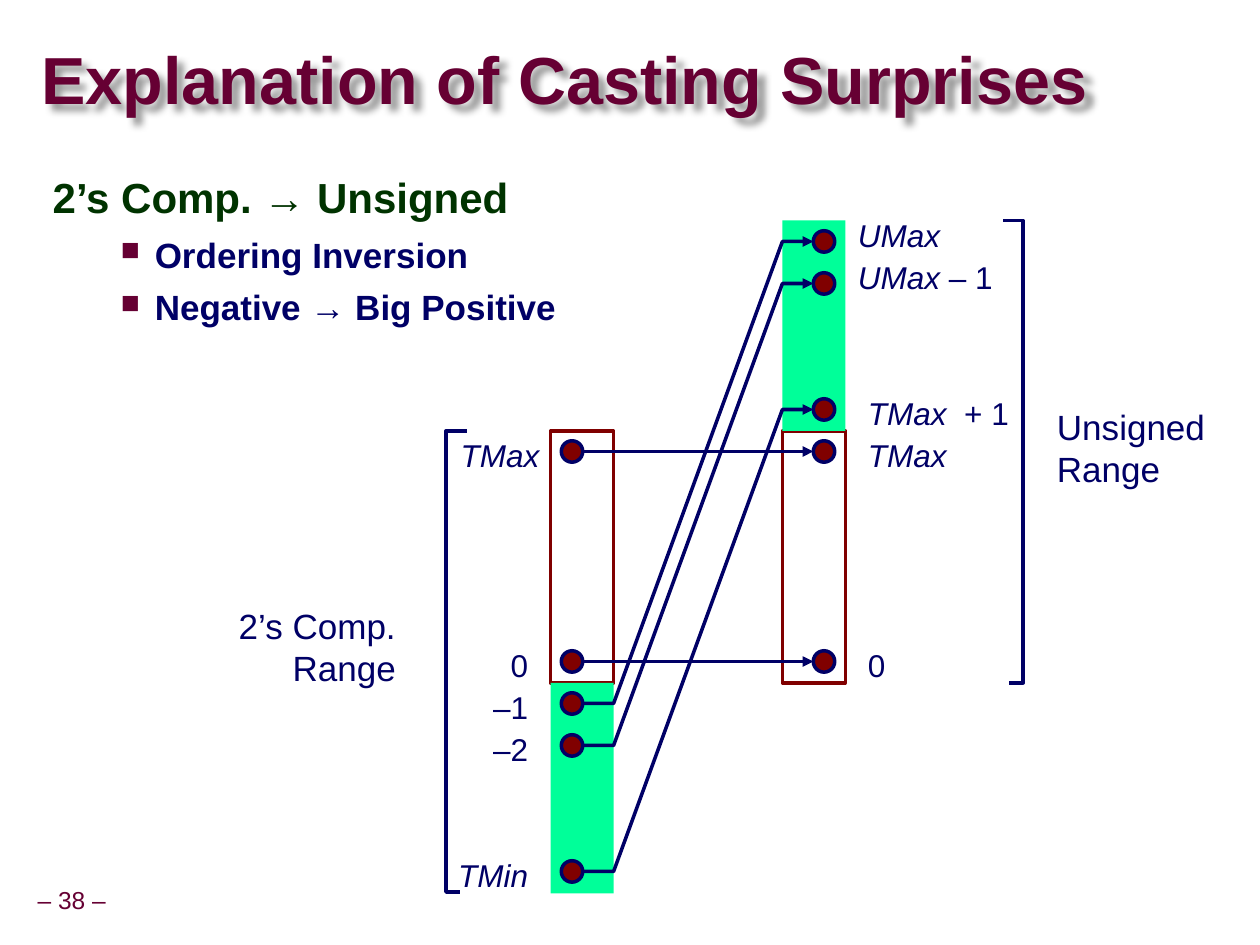
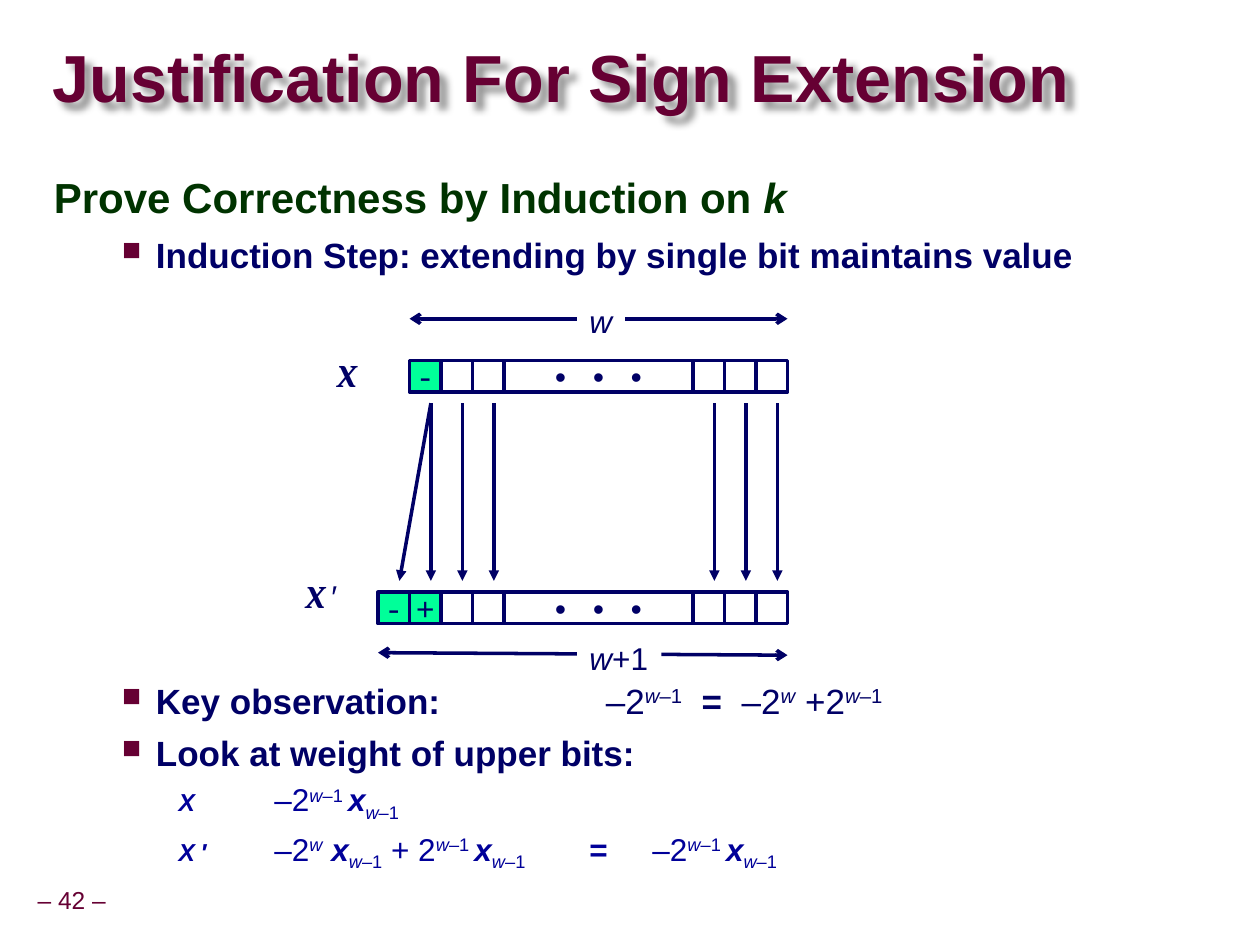
from lxml import etree
from pptx import Presentation
from pptx.dml.color import RGBColor
from pptx.enum.shapes import MSO_CONNECTOR, MSO_SHAPE
from pptx.enum.text import MSO_ANCHOR, PP_ALIGN
from pptx.oxml.ns import qn
from pptx.util import Inches, Pt

LEFT, CENTER, RIGHT = PP_ALIGN.LEFT, PP_ALIGN.CENTER, PP_ALIGN.RIGHT
TOP, MIDDLE = MSO_ANCHOR.TOP, MSO_ANCHOR.MIDDLE
RECTANGLE, OVAL = MSO_SHAPE.RECTANGLE, MSO_SHAPE.OVAL
STRAIGHT = MSO_CONNECTOR.STRAIGHT

COLORS = {
    "title": "660033",
    "heading": "003300",
    "navy": "000066",
    "formula": "000099",
    "maroon": "800000",
    "green": "00FF99",
    "white": "FFFFFF",
}
LABEL = {"size": 18, "name": "Arial", "color": "navy"}
RANGE = {**LABEL, "size": 20}
CODE = {**LABEL, "name": "Courier New"}
SYMBOL = {**LABEL, "name": "Cambria", "bold": True, "italic": True}
TITLE = {"size": 38, "name": "Arial", "color": "title", "bold": True}
FOOTER = {"size": 14, "name": "Arial", "color": "title"}
ITALIC, PLAIN, BOLD = {"italic": True}, {"bold": False}, {"bold": True}
VARIABLE = {"bold": True, "italic": True}

# Outline levels: font, left margin, first-line indent, line spacing, space before
LEVELS = [
    ({"size": 24, "name": "Arial", "color": "heading", "bold": True}, 0.42, -0.42, 0.95, 12),
    ({"size": 20, "name": "Arial", "color": "navy", "bold": True}, 0.81, -0.27, 1.0, 6),
    ({"size": 18, "name": "Arial", "color": "formula", "bold": True}, 1.25, -0.26, 1.07, 2),
]
BULLET_LEVEL = 1
FORMULA_TAB = 4.38


def rgb(name):
    return RGBColor.from_string(COLORS[name])


def add_element(parent, tag, **attributes):
    return etree.SubElement(parent, qn(tag), {key: str(value) for key, value in attributes.items()})


def add_spans(para, spans, base):
    """Fill a paragraph from (text, format changes) pairs; plain text counts as one span."""
    for text, changes in [(spans, {})] if isinstance(spans, str) else spans:
        span = para.add_run()
        span.text = text
        for key, value in {**base, **changes}.items():
            if key == "color":
                span.font.color.rgb = rgb(value)
            elif key == "baseline":
                span._r.get_or_add_rPr().set("baseline", str(value * 1000))
            else:
                setattr(span.font, key, Pt(value) if key == "size" else value)


def set_frame(frame, margins, anchor=TOP, wrap=True):
    frame.word_wrap = wrap
    frame.vertical_anchor = anchor
    for side, margin in zip(("left", "top", "right", "bottom"), margins):
        setattr(frame, f"margin_{side}", Inches(margin))


def add_text(page, left, top, width, height, lines, base, align=LEFT,
             margins=(0.1, 0.05, 0, 0.05), anchor=TOP, spacing=None):
    box = page.shapes.add_textbox(*map(Inches, (left, top, width, height)))
    set_frame(box.text_frame, margins, anchor)
    for index, spans in enumerate(lines):
        para = box.text_frame.paragraphs[0] if index == 0 else box.text_frame.add_paragraph()
        para.alignment = align
        if spacing:
            para.line_spacing = spacing
        add_spans(para, spans, base)
    return box


def add_right_text(page, right, top, width, height, lines, base):
    add_text(page, right - width, top, width, height, lines, base, RIGHT, (0, 0.05, 0.1, 0.05))


def add_title_and_number(page, title, number, left, top):
    box = add_text(page, left, top, 8.9, 0.62, [title], TITLE,
                   margins=(0, 0, 0, 0), anchor=MIDDLE, spacing=0.87)
    effects = add_element(box._element.spPr, "a:effectLst")
    shadow = add_element(effects, "a:outerShdw", blurRad=50800, dist=63500, dir=2700000)
    color = add_element(shadow, "a:srgbClr", val="000000")
    add_element(color, "a:alpha", val=40000)
    add_text(page, 0.24, 7, 0.66, 0.31, [f"– {number} –"], FOOTER, CENTER,
             (0.05,) * 4, MIDDLE, 0.9)


def add_outline(page, left, top, width, height, items):
    """Add a text box of (level, spans) paragraphs."""
    box = page.shapes.add_textbox(*map(Inches, (left, top, width, height)))
    set_frame(box.text_frame, (0.1, 0.05, 0.1, 0.05))
    for index, (level, spans) in enumerate(items):
        base, margin, indent, spacing, before = LEVELS[level]
        para = box.text_frame.paragraphs[0] if index == 0 else box.text_frame.add_paragraph()
        properties = para._p.get_or_add_pPr()
        properties.set("marL", str(Inches(margin)))
        properties.set("indent", str(Inches(indent)))
        if level == BULLET_LEVEL:
            add_element(add_element(properties, "a:buClr"), "a:srgbClr", val=COLORS["title"])
            add_element(properties, "a:buSzPct", val=75000)
            add_element(properties, "a:buChar", char="■")
            tabs = add_element(properties, "a:tabLst")
            add_element(tabs, "a:tab", pos=Inches(FORMULA_TAB), algn="l")
        else:
            add_element(properties, "a:buNone")
        para.line_spacing = spacing
        para.space_before = Pt(before if index else 0)
        add_spans(para, spans, base)


def set_line(line, color):
    line.color.rgb = rgb(color)
    line.width = Pt(2)


def add_block(page, kind, left, top, width, height, fill, line=None):
    block = page.shapes.add_shape(kind, *map(Inches, (left, top, width, height)))
    block.shadow.inherit = False
    block.fill.solid()
    block.fill.fore_color.rgb = rgb(fill)
    if line:
        set_line(block.line, line)
    else:
        block.line.fill.background()
    return block


def add_arrow(page, start, end, tail="triangle", head=None):
    arrow = page.shapes.add_connector(STRAIGHT, *map(Inches, (*start, *end)))
    set_line(arrow.line, "navy")
    add_arrowheads(arrow, tail, head)
    add_element(arrow._element.spPr, "a:effectLst")


def add_arrowheads(shape, tail, head=None):
    outline = shape.line._get_or_add_ln()
    if head:
        add_element(outline, "a:headEnd", type=head)
    add_element(outline, "a:tailEnd", type=tail)


def add_path(page, points, tail=None):
    corners = [tuple(map(Inches, point)) for point in points]
    builder = page.shapes.build_freeform(*corners[0], scale=1.0)
    builder.add_line_segments(corners[1:], close=False)
    path = builder.convert_to_shape()
    path.shadow.inherit = False
    path.fill.background()
    set_line(path.line, "navy")
    if tail:
        add_arrowheads(path, tail)


def row_y(row):
    """Height of a value on the number scale, counted in rows above zero."""
    return 5.25 - row / 3


def build_casting(page):
    signed_x, unsigned_x, bar_width = 4.37, 6.21, 0.5
    signed_dot, unsigned_dot, dot = 4.54, 6.54, 0.17
    add_title_and_number(page, "Explanation of Casting Surprises", 38, 0.33, 0.35)

    for left in (unsigned_x, signed_x):
        add_block(page, RECTANGLE, left, 3.42, bar_width, 2, "white", "maroon")
    for left, top in ((signed_x, 5.42), (unsigned_x, 1.75)):
        add_block(page, RECTANGLE, left, top, bar_width, 1.67, "green")

    for center, rows in ((signed_dot, (5, 0, -1, -2, -5)), (unsigned_dot, (10, 9, 6, 5, 0))):
        for row in rows:
            add_block(page, OVAL, center - dot / 2, row_y(row) - dot / 2, dot, dot,
                      "maroon", "navy")

    start_x, end_x = signed_dot + dot / 2, unsigned_dot - dot / 2
    for row in (5, 0):
        add_arrow(page, (start_x, row_y(row)), (end_x, row_y(row)))
    for row in (-1, -2, -5):
        low, high = row_y(row), row_y(row + 11)
        add_path(page, [(start_x, low), (signed_x + bar_width, low),
                        (unsigned_x, high), (end_x, high)], "triangle")

    signed_labels = [(5, "TMax", 4.38, ITALIC), (0, "0", 4.29, {}), (-1, "–1", 4.29, {}),
                     (-2, "–2", 4.29, {}), (-5, "TMin", 4.29, ITALIC)]
    for row, text, right, style in signed_labels:
        add_right_text(page, right, row_y(row) - 0.17, 0.83, 0.4, [[(text, style)]], LABEL)
    unsigned_labels = [
        (10, [("UMax", ITALIC)], 6.71, 0.25),
        (9, [("UMax", ITALIC), (" – 1", {})], 6.71, 0.25),
        (6, [("TMax  ", ITALIC), ("+ 1", {})], 6.79, 0.17),
        (5, [("TMax", ITALIC)], 6.79, 0.17),
        (0, "0", 6.79, 0.17),
    ]
    for row, spans, left, rise in unsigned_labels:
        add_text(page, left, row_y(row) - rise, 1.32, 0.4, [spans], LABEL)

    add_right_text(page, 3.24, 4.75, 1.45, 0.77, ["2’s Comp.", "Range"], RANGE)
    add_text(page, 8.29, 3.17, 1.38, 0.77, ["Unsigned", "Range"], RANGE)
    add_path(page, [(3.65, 7.08), (3.54, 7.08), (3.54, 3.42), (3.71, 3.42)])
    add_path(page, [(8.01, 5.42), (8.12, 5.42), (8.12, 1.75), (7.96, 1.75)])

    add_outline(page, 0.32, 1.34, 4.55, 1.5, [
        (0, "2’s Comp. → Unsigned"),
        (1, "Ordering Inversion"),
        (1, "Negative → Big Positive"),
    ])


def scripted(base, base_style, shift, tail):
    """Spans for a base with w and an optional tail raised or lowered beside it."""
    script = {"bold": False, "baseline": shift}
    spans = [(base, base_style), ("w", {**script, "italic": True})]
    return spans + ([(tail, script)] if tail else [])


def power(base, tail=""):
    return scripted(base, PLAIN, 30, tail)


def top_bit():
    return scripted("x", VARIABLE, -25, "–1")


def add_word(page, left, top, sign_bits):
    """Draw a row of bits: sign bits, two cells, an ellipsis cell and three cells."""
    cell = 0.25
    signs = len(sign_bits)
    cells = [(left + index * cell, cell, bit) for index, bit in enumerate(sign_bits)]
    cells += [(left + (signs + index) * cell, cell, "") for index in range(2)]
    cells += [(5.5 + index * cell, cell, "") for index in range(3)]
    cells.append((4, 1.5, "•\u00a0•\u00a0•"))
    for x, width, text in cells:
        fill = "green" if text in ("-", "+") else "white"
        block = add_block(page, RECTANGLE, x, top, width, cell, fill, "navy")
        if text:
            set_frame(block.text_frame, (0.1, 0.05, 0.1, 0.05), MIDDLE, wrap=False)
            para = block.text_frame.paragraphs[0]
            para.alignment = CENTER
            add_spans(para, text, CODE)


def add_measure(page, left, line_y, label_top, label_width, spans, end_drop=0):
    add_arrow(page, (left, line_y), (6.25, line_y + end_drop), "arrow", "arrow")
    add_block(page, RECTANGLE, 4.58, label_top, label_width, 0.4, "white")
    add_text(page, 4.58, label_top, label_width, 0.4, [spans], LABEL)


def build_sign_extension(page):
    add_title_and_number(page, "Justification For Sign Extension", 42, 0.42, 0.34)
    add_outline(page, 0.33, 1.34, 9.07, 0.95, [
        (0, [("Prove Correctness by Induction on ", {}), ("k", ITALIC)]),
        (1, "Induction Step: extending by single bit maintains value"),
    ])

    add_word(page, 3.25, 2.86, "-")
    add_word(page, 3, 4.7, "-+")
    add_text(page, 2.58, 2.78, 0.43, 0.4, ["X"], SYMBOL)
    prime = {"name": "Arial", "bold": False, "italic": False}
    add_text(page, 2.33, 4.53, 0.6, 0.4, [[("X ", {}), ("′", prime)]], SYMBOL)

    bit_moves = [(x, x) for x in (3.42, 3.67, 3.92, 5.67, 5.92, 6.17)] + [(3.42, 3.17)]
    for start_x, end_x in bit_moves:
        add_arrow(page, (start_x, 3.2), (end_x, 4.61))
    add_measure(page, 3.25, 2.53, 2.35, 0.38, [("w", ITALIC)])
    add_measure(page, 3, 5.18, 5.02, 0.67, [("w", ITALIC), ("+1", {})], 0.02)

    small = {"size": 14, "italic": True}
    add_outline(page, 0.33, 5.34, 9.07, 1.65, [
        (1, [("Key observation: \t", {}), *power("–2", "–1"), ("  =  ", BOLD),
             *power("–2"), *power(" +2", "–1")]),
        (1, "Look at weight of upper bits:"),
        (2, [("X ", small), ("\t\t", {}), *power("–2", "–1 "), *top_bit()]),
        (2, [("X ", small), ("′", {"size": 14}), ("\t\t", {}), *power("–2"), (" ", PLAIN),
             *top_bit(), *power(" + 2", "–1 "), *top_bit(), (" \t=\t", BOLD),
             *power("–2", "–1 "), *top_bit()]),
    ])


def main():
    deck = Presentation()
    deck.slide_width, deck.slide_height = Inches(10), Inches(7.5)
    blank = deck.slide_layouts[6]
    for build in (build_casting, build_sign_extension):
        build(deck.slides.add_slide(blank))
    deck.save("out.pptx")


if __name__ == "__main__":
    main()
